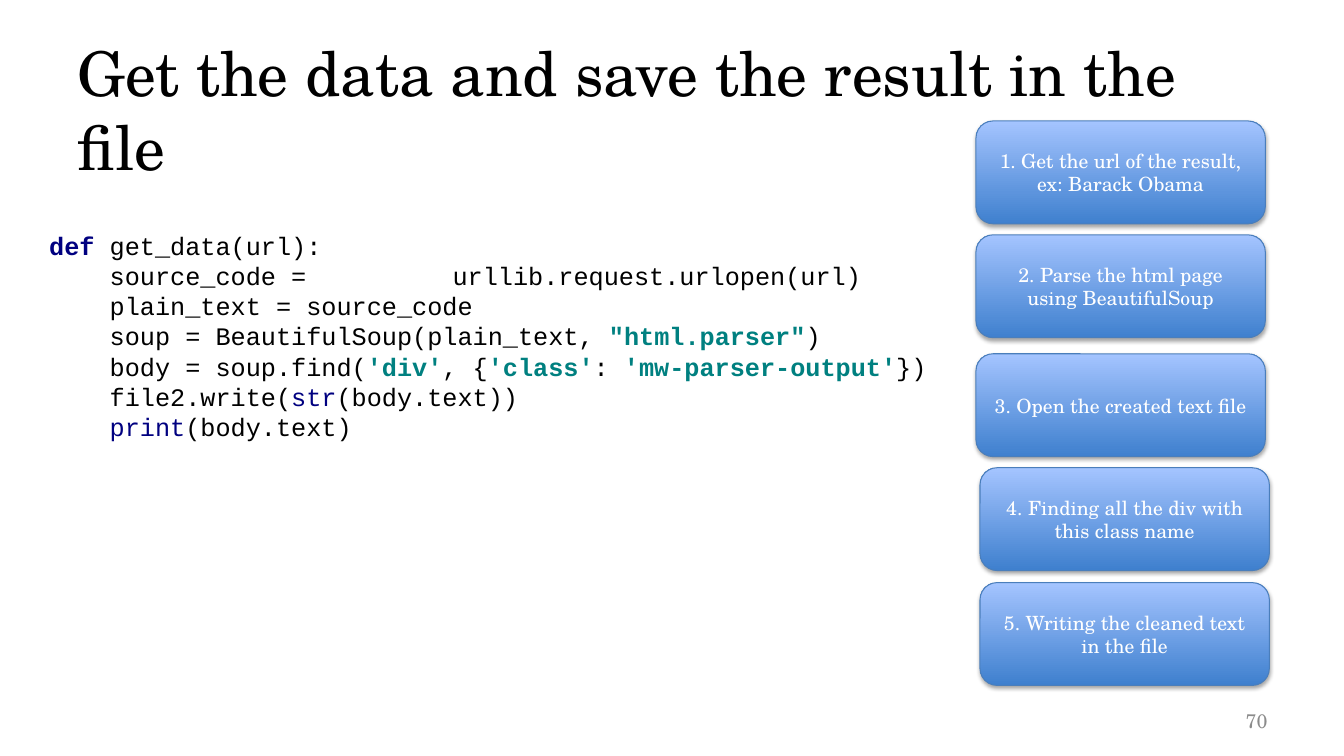
from dataclasses import dataclass

from lxml import etree
from pptx import Presentation
from pptx.dml.color import RGBColor
from pptx.enum.shapes import MSO_SHAPE as Shape
from pptx.enum.text import MSO_ANCHOR as Anchor, MSO_AUTO_SIZE as AutoSize, PP_ALIGN as Align
from pptx.oxml import parse_xml
from pptx.oxml.ns import nsdecls, qn
from pptx.util import Inches, Pt


@dataclass(frozen=True)
class Theme:
    font: str = "TeX Gyre Schola"
    code_font: str = "Courier New"
    title_size: int = 44
    code_size: int = 18
    small_size: int = 14
    black: str = "000000"
    white: str = "FFFFFF"
    gray: str = "8B8B8B"
    keyword: str = "000080"
    string: str = "008080"
    step_bottom: str = "3F80CE"
    step_top: str = "A4C4FF"
    step_line: str = "4A7EBB"


THEME = Theme()

TITLE = "Get the data and save the result in the file"
STEPS = [  # text, left and top offset within the column
    ("1. Get the url of the result, ex: Barack Obama", 0, 0),
    ("2. Parse the html page using BeautifulSoup", 0, 1.13),
    ("3. Open the created text file", 0, 2.31),
    ("4. Finding all the div with this class name", 0.04, 3.44),
    ("5. Writing the cleaned text in the file", 0.04, 4.58),
]
PLAIN = {"color": THEME.black}
KEYWORD = {"color": THEME.keyword, "bold": True}
BUILTIN = {"color": THEME.keyword}
STRING = {"color": THEME.string, "bold": True}
CODE = [
    [("def ", KEYWORD), ("get_data(url):", PLAIN)],
    [("    source_code = \turllib.request.urlopen(url)", PLAIN)],
    [("    plain_text = source_code", PLAIN)],
    [("    soup = BeautifulSoup(plain_text, ", PLAIN), ('"html.parser"', STRING), (")", PLAIN)],
    [("    body = soup.find(", PLAIN), ("'div'", STRING), (", {", PLAIN), ("'class'", STRING),
     (": ", PLAIN), ("'mw-parser-output'", STRING), ("})", PLAIN)],
    [("    file2.write(", PLAIN), ("str", BUILTIN), ("(body.text))", PLAIN)],
    [("    ", PLAIN), ("print", BUILTIN), ("(body.text)", PLAIN)],
]


def color_of(value):
    return RGBColor.from_string(value)


def add_text(paragraph, text, *, size, color, font=THEME.font, bold=False, align=None):
    run = paragraph.add_run()
    run.text = text
    run.font.name = font
    run.font.size = Pt(size)
    run.font.bold = bold
    run.font.color.rgb = color_of(color)
    if align is not None:
        paragraph.alignment = align


def prepare_frame(shape, anchor):
    """Set wrapping and anchor, and return the first paragraph."""
    frame = shape.text_frame
    frame.word_wrap = True
    frame.auto_size = AutoSize.NONE
    frame.vertical_anchor = anchor
    return frame.paragraphs[0]


def place_title(slide, left, top, width, height):
    title = slide.shapes.title
    title.left, title.top = Inches(left), Inches(top)
    title.width, title.height = Inches(width), Inches(height)
    add_text(prepare_frame(title, Anchor.TOP), TITLE, size=THEME.title_size,
             color=THEME.black, align=Align.LEFT)


def add_soft_shadow(shape):
    shape.shadow.inherit = False
    effects = shape._element.spPr.find(qn("a:effectLst"))
    effects.append(parse_xml(
        f'<a:outerShdw {nsdecls("a")} blurRad="{Pt(3.1)}" dist="{Pt(1.8)}" dir="5400000" '
        'rotWithShape="0"><a:srgbClr val="000000"><a:alpha val="35000"/></a:srgbClr>'
        '</a:outerShdw>'))


def add_step(slide, text, left, top, width, height):
    step = slide.shapes.add_shape(Shape.ROUNDED_RECTANGLE, Inches(left), Inches(top),
                                  Inches(width), Inches(height))
    step.fill.gradient()
    step.fill.gradient_angle = 90
    for stop, color in zip(step.fill.gradient_stops, (THEME.step_bottom, THEME.step_top)):
        stop.color.rgb = color_of(color)
    step.line.color.rgb = color_of(THEME.step_line)
    step.line.width = Pt(0.75)
    add_soft_shadow(step)
    add_text(prepare_frame(step, Anchor.MIDDLE), text, size=THEME.small_size,
             color=THEME.white, align=Align.CENTER)


def add_steps(slide, left, top, width, height):
    """Stack the steps; width and height are those of one step."""
    for text, shift, offset in STEPS:
        add_step(slide, text, left + shift, top + offset, width, height)


def add_code(slide, left, top, width, height):
    panel = slide.shapes.add_shape(Shape.RECTANGLE, Inches(left), Inches(top),
                                   Inches(width), Inches(height))
    panel.shadow.inherit = False
    panel.fill.solid()
    panel.fill.fore_color.rgb = color_of(THEME.white)
    panel.line.fill.background()
    paragraph = prepare_frame(panel, Anchor.MIDDLE)
    paragraph.alignment = Align.LEFT
    tabs = etree.SubElement(paragraph._p.get_or_add_pPr(), qn("a:tabLst"))
    etree.SubElement(tabs, qn("a:tab"), pos=str(Inches(4)), algn="l")
    for index, line in enumerate(CODE):
        if index:
            paragraph.add_line_break()
        for text, style in line:
            add_text(paragraph, text, size=THEME.code_size, font=THEME.code_font, **style)


def add_page_number(slide, left, top, width, height):
    box = slide.shapes.add_textbox(Inches(left), Inches(top), Inches(width), Inches(height))
    add_text(prepare_frame(box, Anchor.MIDDLE), "70", size=THEME.small_size,
             color=THEME.gray, align=Align.RIGHT)


def main():
    presentation = Presentation()
    presentation.slide_width, presentation.slide_height = Inches(13.33), Inches(7.5)
    slide = presentation.slides.add_slide(presentation.slide_layouts[5])
    add_steps(slide, 9.68, 1.2, 2.87, 1.02)
    add_page_number(slide, 9.56, 6.95, 3.11, 0.4)
    place_title(slide, 0.67, 0.3, 12, 1.25)
    add_code(slide, 0.39, 2.22, 8.96, 2.22)
    presentation.save("out.pptx")


if __name__ == "__main__":
    main()
